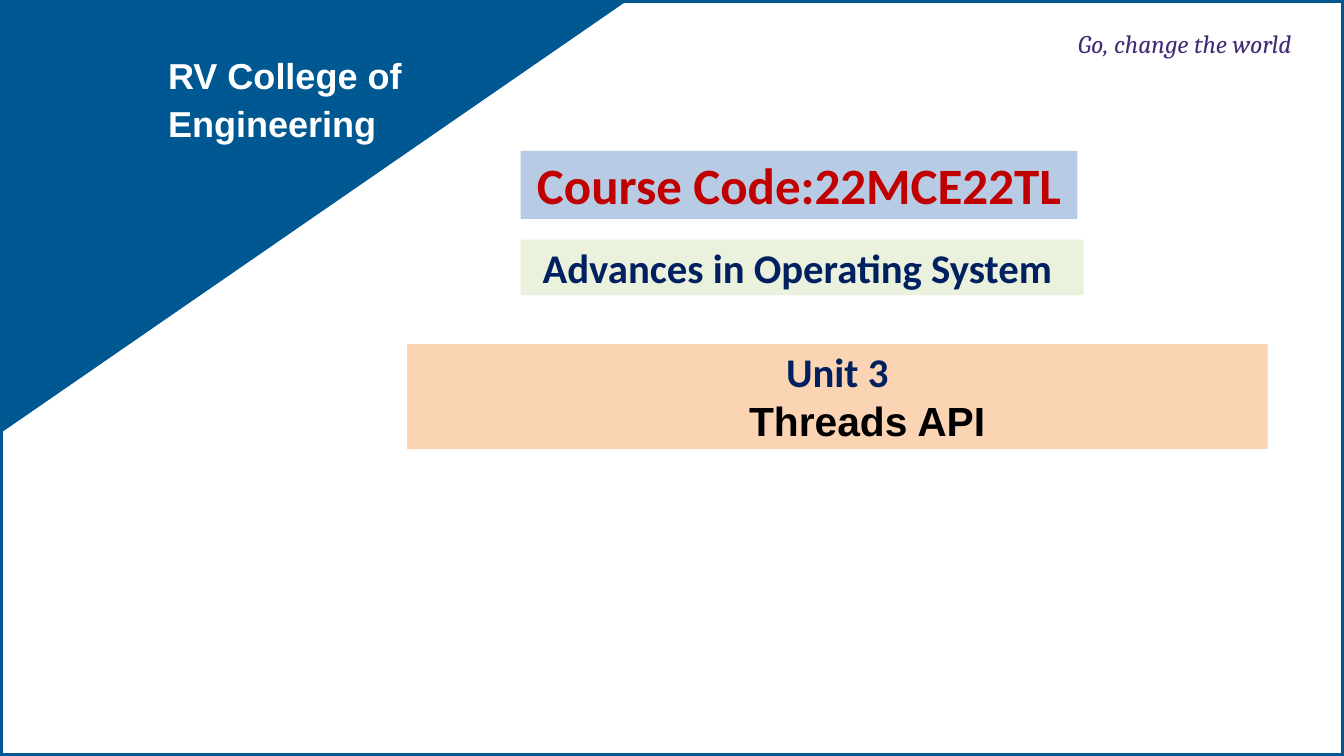
from dataclasses import dataclass

from pptx import Presentation
from pptx.dml.color import RGBColor
from pptx.enum.shapes import MSO_SHAPE as Preset
from pptx.enum.text import MSO_ANCHOR as Anchor, MSO_AUTO_SIZE as AutoSize, PP_ALIGN as Align
from pptx.util import Pt

PX = 9144  # EMU in one px, 100 px to the inch
WIDTH, HEIGHT = 2199, 1237
COLOURS = {
    "white": "FFFFFF", "blue": "005893", "purple": "422C75", "navy": "002060",
    "red": "C00000", "black": "000000", "green": "EAF1DD", "peach": "FBD4B4",
    "sky": "B7CCE4",
}


@dataclass(frozen=True)
class Line:
    text: str
    size: float
    font: str
    colour: str
    bold: bool = True
    italic: bool = False
    indent: int = 0
    spacing: float = 1.0
    before: float = 0


@dataclass(frozen=True)
class Label:
    left: int
    top: int
    width: int
    height: int
    lines: tuple[Line, ...]
    fill: str = ""


COLLEGE = Label(274, 79, 417, 135, (
    Line("RV College of", 42.5, "Arial", "white", indent=1, spacing=1.1),
    Line("Engineering", 42.5, "Arial", "white", indent=1, spacing=1.1, before=1.1),
))
MOTTO = Label(1763, 45, 372, 53, (
    Line("Go, change the world", 30, "Cambria", "purple", bold=False, italic=True, indent=1),
))
COURSE = Label(852, 392, 921, 91, (
    Line("Advances in Operating System ", 48, "Calibri", "navy"),
), "green")
UNIT = Label(666, 563, 1408, 172, (
    Line("Unit 3", 48, "Calibri", "navy"),
    Line("Threads API", 48, "Arial", "black", indent=98),
), "peach")
COURSE_CODE = Label(852, 247, 911, 111, (
    Line("Course Code:22MCE22TL", 60, "Calibri", "red"),
), "sky")


def rgb(name: str) -> RGBColor:
    return RGBColor.from_string(COLOURS[name])


def paint(shape, colour: str) -> None:
    shape.fill.solid()
    shape.fill.fore_color.rgb = rgb(colour)


def set_all(target, values: dict) -> None:
    for name, value in values.items():
        setattr(target, name, value)


def write(box, label: Label) -> None:
    """Put the lines of a label into its box; filled labels are centred."""
    side, top, bottom = (10, 5, 5) if label.fill else (0, 1, 0)
    frame = box.text_frame
    set_all(frame, {
        "word_wrap": True, "auto_size": AutoSize.SHAPE_TO_FIT_TEXT,
        "vertical_anchor": Anchor.TOP,
        "margin_left": side * PX, "margin_right": side * PX,
        "margin_top": top * PX, "margin_bottom": bottom * PX,
    })
    for number, line in enumerate(label.lines):
        para = frame.add_paragraph() if number else frame.paragraphs[0]
        set_all(para, {
            "alignment": Align.CENTER if label.fill else Align.LEFT,
            "line_spacing": line.spacing, "space_before": Pt(line.before),
        })
        para._p.get_or_add_pPr().set("marL", str(line.indent * PX))
        span = para.add_run()
        span.text = line.text
        set_all(span.font, {
            "size": Pt(line.size), "name": line.font,
            "bold": line.bold, "italic": line.italic,
        })
        span.font.color.rgb = rgb(line.colour)


def add_label(page, label: Label) -> None:
    place = [v * PX for v in (label.left, label.top, label.width, label.height)]
    if label.fill:
        box = page.shapes.add_shape(Preset.RECTANGLE, *place)
        box.shadow.inherit = False
        box.line.fill.background()
        paint(box, label.fill)
    else:
        box = page.shapes.add_textbox(*place)
    write(box, label)


def add_backdrop(page) -> None:
    border = page.shapes.add_shape(Preset.RECTANGLE, 0, 0, WIDTH * PX, HEIGHT * PX)
    border.shadow.inherit = False
    paint(border, "white")
    border.line.color.rgb = rgb("blue")
    border.line.width = Pt(6)

    outline = page.shapes.build_freeform(1025, 2, scale=PX)
    outline.add_line_segments([(-1, 2), (-1, 710)], close=True)
    corner = outline.convert_to_shape()
    corner.shadow.inherit = False
    paint(corner, "blue")
    corner.line.fill.background()


def add_title(page, label: Label) -> None:
    title = page.shapes.title
    set_all(title, {name: getattr(label, name) * PX
                    for name in ("left", "top", "width", "height")})
    paint(title, label.fill)
    write(title, label)
    page.shapes._spTree.append(title._element)  # bring in front of the backdrop


def main() -> None:
    deck = Presentation()
    deck.slide_width, deck.slide_height = WIDTH * PX, HEIGHT * PX
    page = deck.slides.add_slide(deck.slide_layouts.get_by_name("Title Only"))

    # Border and corner
    add_backdrop(page)

    # College, motto and course bands
    for label in (COLLEGE, MOTTO, COURSE, UNIT):
        add_label(page, label)

    # Title
    add_title(page, COURSE_CODE)
    deck.save("out.pptx")


if __name__ == "__main__":
    main()
